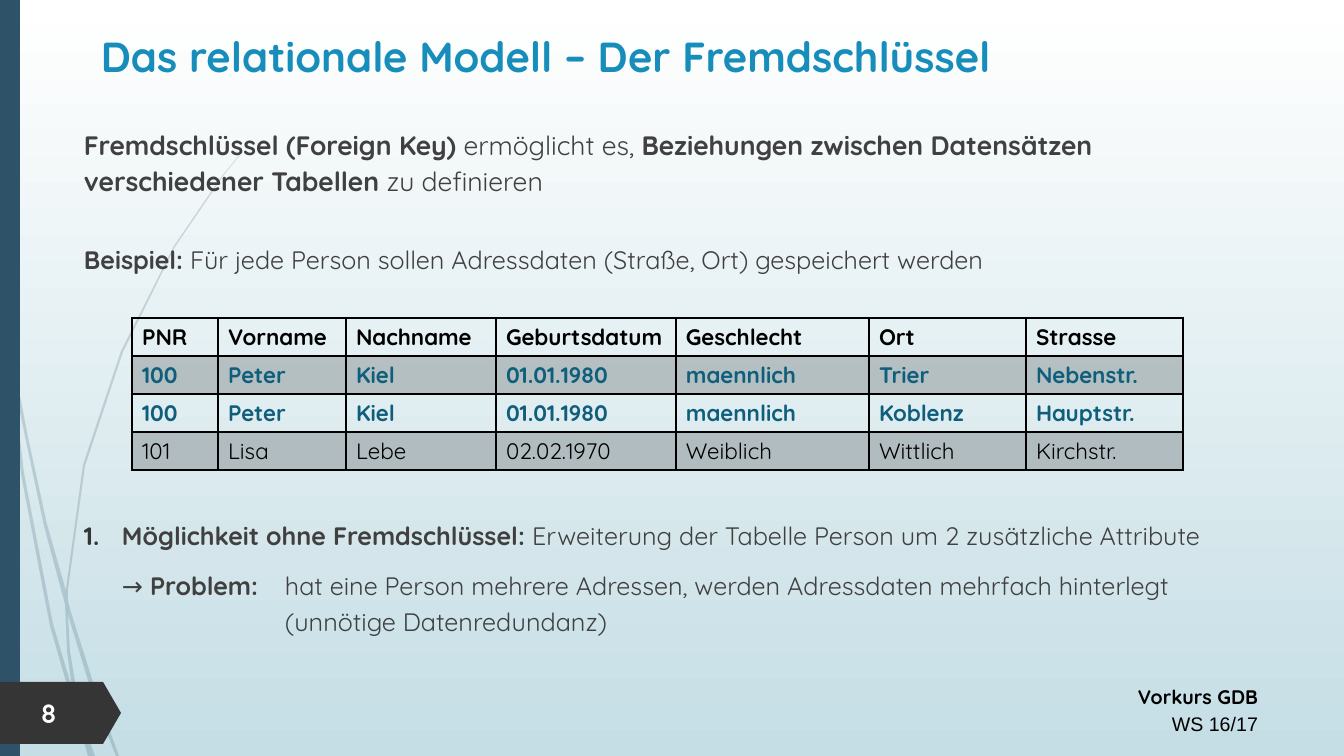
"""Build the slide on foreign keys in the relational model."""
from pptx import Presentation
from pptx.dml.color import RGBColor
from pptx.enum.shapes import MSO_SHAPE
from pptx.enum.text import MSO_ANCHOR, PP_ALIGN
from pptx.oxml.ns import qn
from pptx.util import Pt
from lxml import etree

PX = 914400 / 100.8
RECTANGLE, PENTAGON = MSO_SHAPE.RECTANGLE, MSO_SHAPE.PENTAGON
LEFT, CENTER, RIGHT = PP_ALIGN.LEFT, PP_ALIGN.CENTER, PP_ALIGN.RIGHT
MIDDLE = MSO_ANCHOR.MIDDLE

WHITE = RGBColor(0xFF, 0xFF, 0xFF)
BLACK = RGBColor(0x00, 0x00, 0x00)
PALE_BLUE = RGBColor(0xC5, 0xDE, 0xE5)
NAVY = RGBColor(0x2E, 0x53, 0x69)
CHARCOAL = RGBColor(0x35, 0x35, 0x35)
TEXT_GREY = RGBColor(0x40, 0x40, 0x40)
TITLE_BLUE = RGBColor(0x17, 0x8D, 0xBB)
HIGHLIGHT = RGBColor(0x0F, 0x5E, 0x7C)
FONT = "Quicksand"

TITLE = "Das relationale Modell – Der Fremdschlüssel"
SLIDE_NUMBER = "8"
FOOTER = [("Vorkurs GDB", FONT, True), ("WS 16/17", "Arial", False)]
DEFINITION = [
    ("Fremdschlüssel (Foreign Key) ", True),
    ("ermöglicht es, ", False),
    ("Beziehungen zwischen Datensätzen verschiedener Tabellen ", True),
    ("zu definieren", False),
]
EXAMPLE = [
    ("Beispiel: ", True),
    ("Für jede Person sollen Adressdaten (Straße, Ort) gespeichert werden", False),
]
OPTION = [
    ("Möglichkeit ohne Fremdschlüssel: ", True),
    ("Erweiterung der Tabelle Person um 2 zusätzliche Attribute", False),
]
PROBLEM = [
    ("→ ", False),
    ("Problem:", True),
    ("\that eine Person mehrere Adressen, werden Adressdaten mehrfach hinterlegt"
     "\v(unnötige Datenredundanz)", False),
]
PERSON_COLUMNS = [86, 128, 150, 180, 193]
PERSON_ROWS = [
    ("PNR", "Vorname", "Nachname", "Geburtsdatum", "Geschlecht"),
    ("100", "Peter", "Kiel", "01.01.1980", "maennlich"),
    ("100", "Peter", "Kiel", "01.01.1980", "maennlich"),
    ("101", "Lisa", "Lebe", "02.02.1970", "Weiblich"),
]
ADDRESS_COLUMNS = [157, 157]
ADDRESS_ROWS = [
    ("Ort", "Strasse"),
    ("Trier", "Nebenstr."),
    ("Koblenz", "Hauptstr."),
    ("Wittlich", "Kirchstr."),
]
TABLE_LEFT, TABLE_TOP, ROW_HEIGHT = 132, 318, 38
ROW_COLORS = [BLACK, HIGHLIGHT, HIGHLIGHT, BLACK]

WISPS = [
    [(8, 353), (6, 325), (0, 284), (0, 301), (8, 347)],
    [(44, 526), (65, 604), (66, 591), (47, 524), (28, 437), (11, 348), (13, 379)],
    [(71, 612), (68, 601), (68, 615), (94, 700), (116, 756), (119, 756), (98, 698)],
    [(92, 756), (95, 756), (81, 717)],
    [(72, 688), (53, 624), (24, 473), (13, 379), (8, 353), (14, 413), (21, 474),
     (50, 626), (71, 699), (78, 720), (76, 713)],
    [(65, 604), (67, 651), (72, 688), (74, 698), (81, 717), (80, 712), (70, 651),
     (68, 615), (68, 613)],
    [(68, 589), (85, 466), (123, 352), (175, 247), (207, 200), (223, 176), (240, 155),
     (240, 154), (222, 176), (206, 199), (174, 246), (121, 351), (83, 465), (66, 589),
     (66, 591), (68, 601)],
    [(78, 720), (88, 756), (91, 756)],
    [(68, 613), (68, 601), (66, 591), (65, 604)],
    [(75, 698), (72, 688), (76, 713), (78, 720), (91, 756), (92, 756), (81, 717)],
]


def px(*lengths):
    return [round(length * PX) for length in lengths]


def set_opacity(properties, percent):
    color = properties.find(qn("a:solidFill") + "/" + qn("a:srgbClr"))
    etree.SubElement(color, qn("a:alpha"), val=str(percent * 1000))


def paint(shape, color):
    shape.shadow.inherit = False
    shape.fill.solid()
    shape.fill.fore_color.rgb = color
    shape.line.fill.background()


def style(font, size, color, bold, name=FONT):
    font.name, font.size, font.bold = name, Pt(size), bold
    font.color.rgb = color


def add_text_frame(slide, left, top, width, height, inset=True):
    text_frame = slide.shapes.add_textbox(*px(left, top, width, height)).text_frame
    text_frame.word_wrap = True
    if not inset:
        text_frame.margin_left = text_frame.margin_right = 0
        text_frame.margin_top = text_frame.margin_bottom = 0
    return text_frame


def fill_paragraph(paragraph, segments, size, spacing=1.2):
    paragraph.text = "".join(text for text, _ in segments[:-1])
    paragraph.clear()
    paragraph.alignment = LEFT
    paragraph.line_spacing = spacing
    for text, bold in segments:
        for index, line in enumerate(text.split("\v")):
            if index:
                paragraph.add_line_break()
            run = paragraph.add_run()
            run.text = line
            style(run.font, size, TEXT_GREY, bold)


def set_indent(paragraph, margin, first_line):
    properties = paragraph._p.get_or_add_pPr()
    properties.set("marL", str(px(margin)[0]))
    properties.set("indent", str(px(first_line - margin)[0]))
    return properties


def add_borders(cell, widths):
    properties = cell._tc.get_or_add_tcPr()
    for index, (side, width) in enumerate(widths.items()):
        line = etree.Element(qn("a:" + side), w=str(Pt(width)))
        solid = etree.SubElement(line, qn("a:solidFill"))
        etree.SubElement(solid, qn("a:srgbClr"), val=str(BLACK))
        properties.insert(index, line)


def add_data_table(slide, left, columns, rows):
    frame = slide.shapes.add_table(len(rows), len(columns), *px(
        left, TABLE_TOP, sum(columns), ROW_HEIGHT * len(rows)))
    table = frame.table
    table.first_row = table.horz_banding = False
    for column, width in zip(table.columns, columns):
        column.width = px(width)[0]
    for row_index, values in enumerate(rows):
        table.rows[row_index].height = px(ROW_HEIGHT)[0]
        for column_index, value in enumerate(values):
            cell = table.cell(row_index, column_index)
            cell.text_frame.text = value
            style(cell.text_frame.paragraphs[0].runs[0].font, 16,
                  ROW_COLORS[row_index], row_index < 3)
            if row_index % 2:
                cell.fill.solid()
                cell.fill.fore_color.rgb = BLACK
                set_opacity(cell._tc.get_or_add_tcPr(), 20)
            else:
                cell.fill.background()
            add_borders(cell, {"lnL": 1, "lnR": 1, "lnT": 2 if row_index == 1 else 1,
                               "lnB": 2 if row_index == 0 else 1})


def add_decoration(slide):
    background = slide.background.fill
    background.gradient()
    background.gradient_angle = 270
    for stop, position, color in zip(background.gradient_stops, (0, 1), (WHITE, PALE_BLUE)):
        stop.position, stop.color.rgb = position, color
    for start, *points in WISPS:
        builder = slide.shapes.build_freeform(*start, scale=PX)
        builder.add_line_segments(points)
        wisp = builder.convert_to_shape()
        paint(wisp, NAVY)
        set_opacity(wisp.element.spPr, 20)
    paint(slide.shapes.add_shape(RECTANGLE, *px(0, 0, 20, 756)), NAVY)
    badge = slide.shapes.add_shape(PENTAGON, *px(0, 682, 121, 62))
    badge.adjustments[0] = 0.29
    paint(badge, CHARCOAL)
    badge.text_frame.text = SLIDE_NUMBER
    badge.text_frame.margin_left = px(41)[0]
    badge.text_frame.vertical_anchor = MIDDLE
    number = badge.text_frame.paragraphs[0]
    number.alignment = LEFT
    style(number.runs[0].font, 19, WHITE, True)


def main():
    presentation = Presentation()
    presentation.slide_width, presentation.slide_height = px(1344, 756)
    slide = presentation.slides.add_slide(presentation.slide_layouts[6])
    add_decoration(slide)

    footer = add_text_frame(slide, 744, 677, 524, 65)
    footer.text = "\n".join(text for text, _, _ in FOOTER)
    for paragraph, (_, name, bold) in zip(footer.paragraphs, FOOTER):
        paragraph.alignment, paragraph.line_spacing = RIGHT, 1.14
        style(paragraph.runs[0].font, 14, BLACK, bold, name)

    title = add_text_frame(slide, 65, 26, 962, 82)
    title.text = TITLE
    title.paragraphs[0].alignment = CENTER
    style(title.paragraphs[0].runs[0].font, 30, TITLE_BLUE, True)

    definition = add_text_frame(slide, 84, 124, 1180, 80, inset=False)
    fill_paragraph(definition.paragraphs[0], DEFINITION, 19, 1.14)
    example = add_text_frame(slide, 84, 238, 1180, 40, inset=False)
    fill_paragraph(example.paragraphs[0], EXAMPLE, 18)

    add_data_table(slide, TABLE_LEFT, PERSON_COLUMNS, PERSON_ROWS)
    add_data_table(slide, TABLE_LEFT + sum(PERSON_COLUMNS), ADDRESS_COLUMNS, ADDRESS_ROWS)

    options = add_text_frame(slide, 84, 514, 1180, 130, inset=False)
    option, problem = options.paragraphs[0], options.add_paragraph()
    fill_paragraph(option, OPTION, 18)
    numbering = set_indent(option, 38, 0)
    bullet_color = etree.SubElement(numbering, qn("a:buClr"))
    etree.SubElement(bullet_color, qn("a:srgbClr"), val=str(CHARCOAL))
    etree.SubElement(numbering, qn("a:buAutoNum"), type="arabicPeriod")
    fill_paragraph(problem, PROBLEM, 18)
    problem.space_before = Pt(10)
    set_indent(problem, 201, 38)
    presentation.save("out.pptx")


if __name__ == "__main__":
    main()
